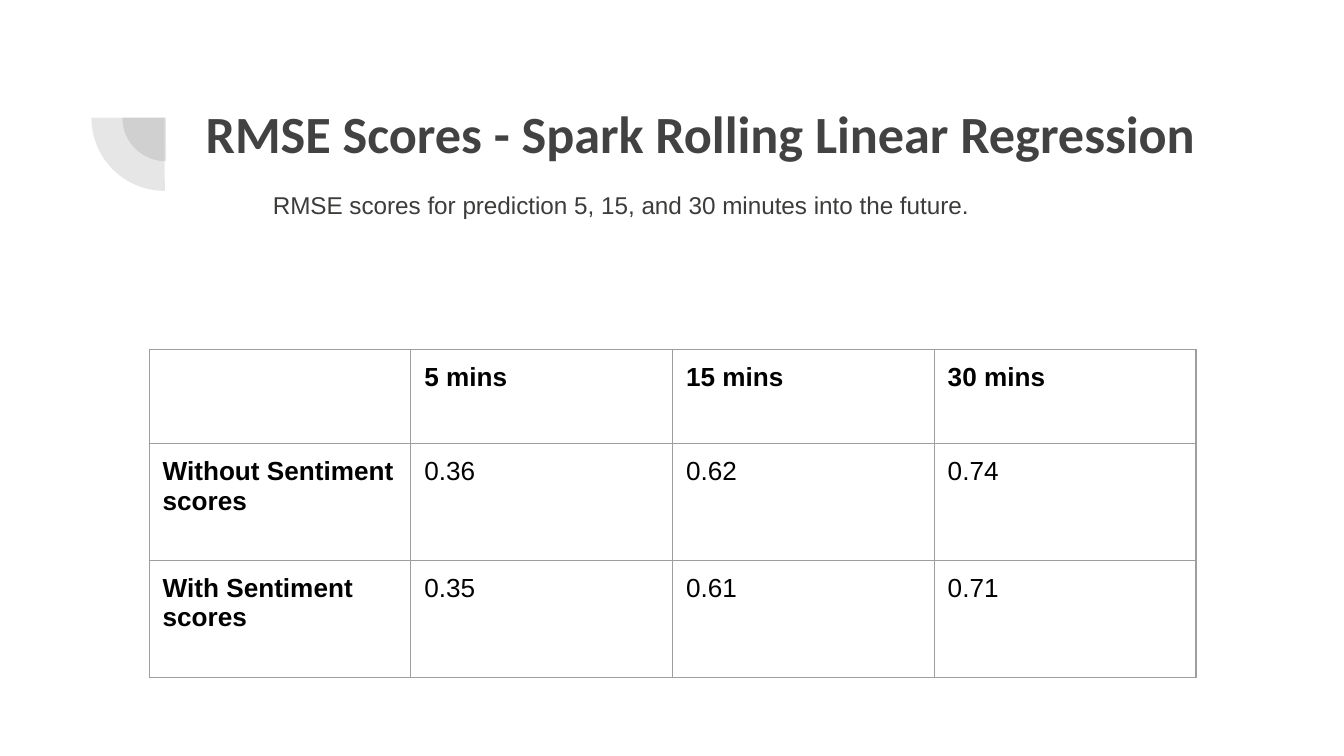
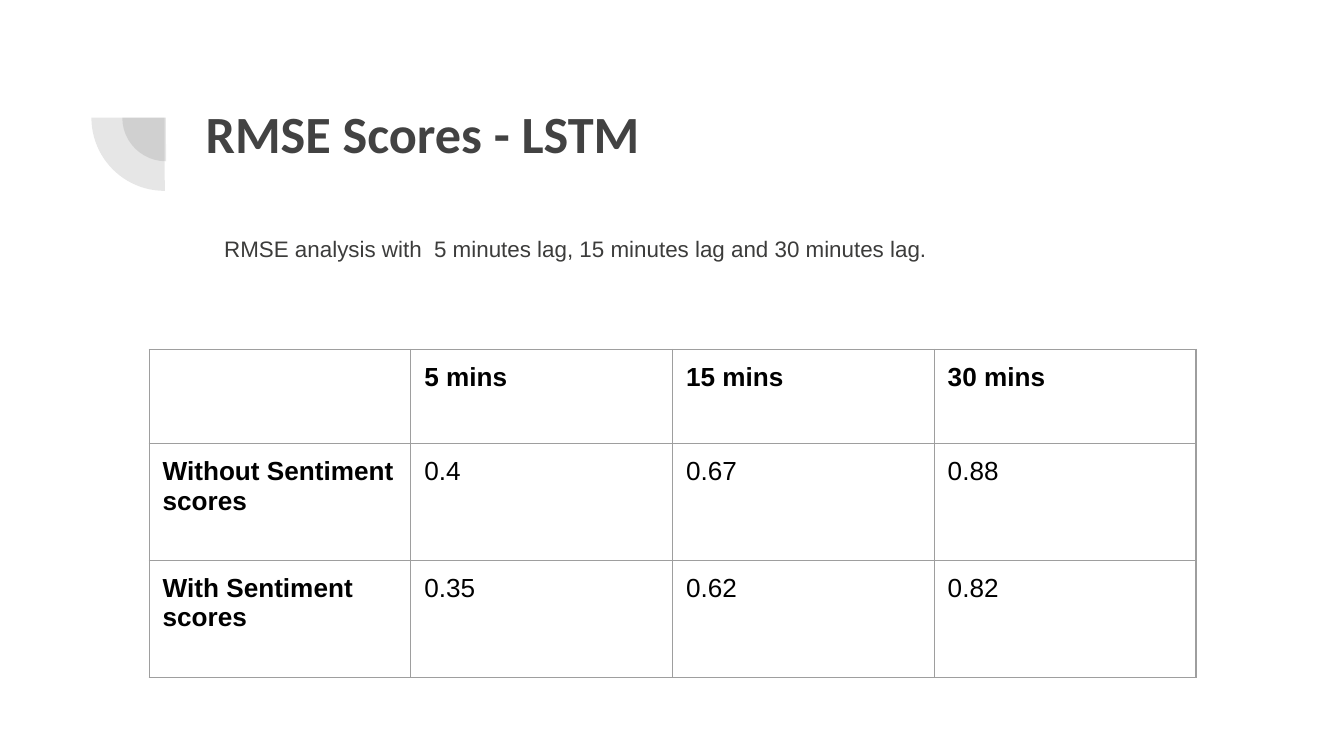
"""Build two slides that tabulate RMSE scores with and without sentiment."""
from lxml import etree
from pptx import Presentation
from pptx.dml.color import RGBColor
from pptx.enum.shapes import MSO_SHAPE
from pptx.enum.text import MSO_ANCHOR, MSO_AUTO_SIZE, PP_ALIGN
from pptx.oxml.ns import qn
from pptx.util import Inches, Pt

PIE = MSO_SHAPE.PIE
TOP = MSO_ANCHOR.TOP
LEFT = PP_ALIGN.LEFT
NO_AUTOFIT = MSO_AUTO_SIZE.NONE

COLORS = {"title": "424242", "subtitle": "3C3C3B", "table": "000000", "border": "9E9E9E"}
HORIZONS = ["", "5 mins", "15 mins", "30 mins"]
SLIDES = [
    {
        "title": "RMSE Scores - Spark Rolling Linear Regression",
        "title_box": (1.43, 0.65, 7.69, 4.6),
        "subtitle": "RMSE scores for prediction 5, 15, and 30 minutes into the future.",
        "subtitle_box": None,
        "subtitle_size": 13,
        "subtitle_indent": 0.5,
        "scores": [
            ["Without Sentiment scores", "0.36", "0.62", "0.74"],
            ["With Sentiment scores", "0.35", "0.61", "0.71"],
        ],
    },
    {
        "title": "RMSE Scores - LSTM",
        "title_box": (1.43, 0.65, 7.69, 1.09),
        "subtitle": "RMSE analysis with  5 minutes lag, 15 minutes lag and 30 minutes lag.",
        "subtitle_box": (1.16, 1.62, 7.69, 3.76),
        "subtitle_size": 12,
        "subtitle_indent": 0.41,
        "scores": [
            ["Without Sentiment scores", "0.4", "0.67", "0.88"],
            ["With Sentiment scores", "0.35", "0.62", "0.82"],
        ],
    },
]

PIES = [(0.91, 0.55, 0.65), (0.68, 0.33, 1.09)]
PIE_ALPHA = 13
TABLE_AT = (1.11, 2.6)
TABLE_WIDTH = 7.79
ROW_HEIGHTS = [0.7, 0.87, 0.87]
MARGIN = Inches(0.1)


def inches(values):
    return [Inches(value) for value in values]


def add_run(paragraph, text, font, size, color, bold=False):
    run = paragraph.add_run()
    run.text = text
    run.font.name = font
    run.font.size = Pt(size)
    run.font.bold = bold
    run.font.color.rgb = RGBColor.from_string(COLORS[color])


def set_margins(area):
    area.margin_left = area.margin_right = MARGIN
    area.margin_top = area.margin_bottom = MARGIN
    area.vertical_anchor = TOP


def prepare_frame(shape):
    frame = shape.text_frame
    frame.word_wrap = True
    frame.auto_size = NO_AUTOFIT
    set_margins(frame)
    frame.paragraphs[0].alignment = LEFT
    return frame


def add_quarter_pies(slide):
    for left, top, diameter in PIES:
        pie = slide.shapes.add_shape(PIE, *inches((left, top, diameter, diameter)))
        pie.rotation = 270
        pie.adjustments[0] = 107.93
        pie.adjustments[1] = 162
        pie.shadow.inherit = False
        pie.line.fill.background()
        pie.fill.solid()
        pie.fill.fore_color.rgb = RGBColor.from_string(COLORS["title"])
        color = pie.fill._xPr.find(qn("a:solidFill"))[0]
        etree.SubElement(color, qn("a:alpha"), val=str(PIE_ALPHA * 1000))


def add_heading(slide, content):
    title = slide.shapes.title
    title.left, title.top, title.width, title.height = inches(content["title_box"])
    heading = prepare_frame(title)
    add_run(heading.paragraphs[0], content["title"], "Calibri", 28, "title", True)

    if content["subtitle_box"]:
        box = slide.shapes.add_textbox(*inches(content["subtitle_box"]))
        subtitle = prepare_frame(box).paragraphs[0]
    else:
        subtitle = heading.add_paragraph()
        subtitle.alignment = LEFT
        subtitle.space_before = Pt(12)
    subtitle.line_spacing = 1.15
    properties = subtitle._p.get_or_add_pPr()
    properties.set("marL", str(Inches(content["subtitle_indent"])))
    properties.set("indent", "0")
    add_run(subtitle, content["subtitle"], "Arial", content["subtitle_size"], "subtitle")


def set_borders(cell):
    properties = cell._tc.get_or_add_tcPr()
    for side in ("lnL", "lnR", "lnT", "lnB"):
        line = etree.SubElement(properties, qn(f"a:{side}"), w=str(Pt(0.75)))
        fill = etree.SubElement(line, qn("a:solidFill"))
        etree.SubElement(fill, qn("a:srgbClr"), val=COLORS["border"])


def add_scores(slide, scores):
    rows = [HORIZONS] + scores
    size = (TABLE_WIDTH, sum(ROW_HEIGHTS))
    table = slide.shapes.add_table(len(rows), len(HORIZONS), *inches(TABLE_AT + size)).table
    table.first_row = table.horz_banding = False
    for r, (row, height) in enumerate(zip(rows, ROW_HEIGHTS)):
        table.rows[r].height = Inches(height)
        for c, text in enumerate(row):
            cell = table.cell(r, c)
            set_margins(cell)
            set_borders(cell)
            cell.fill.background()
            if text:
                paragraph = cell.text_frame.paragraphs[0]
                add_run(paragraph, text, "Arial", 14, "table", r == 0 or c == 0)


def main():
    deck = Presentation()
    deck.slide_width = Inches(10)
    deck.slide_height = deck.slide_width * 9 // 16
    title_only = deck.slide_layouts[5]
    for content in SLIDES:
        slide = deck.slides.add_slide(title_only)
        add_quarter_pies(slide)
        add_heading(slide, content)
        add_scores(slide, content["scores"])
    deck.save("out.pptx")


if __name__ == "__main__":
    main()
